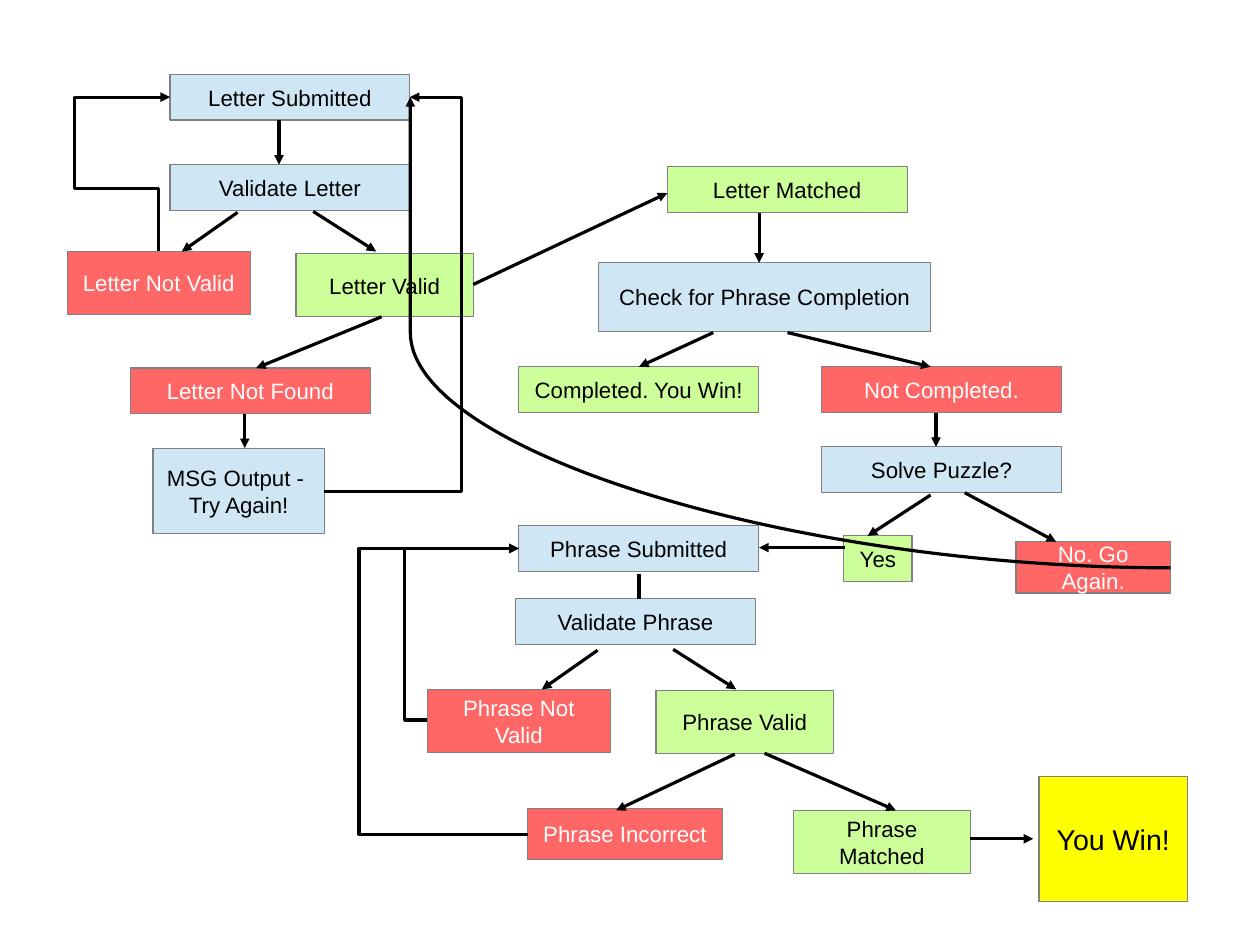
import pptx
import pptx.util
import pptx.dml.color
import pptx.enum.shapes
import pptx.enum.text
import pptx.oxml
import pptx.oxml.ns

Cm = pptx.util.Cm
KIND = pptx.enum.shapes.MSO_CONNECTOR
BLUE, GREEN, RED, YELLOW = "CFE7F5", "CCFF99", "FF6666", "FFFF00"
BLACK, WHITE, GREY = "000000", "FFFFFF", "808080"
WIDE, TALL = 5.33, 1.02
FRAME = {
    "word_wrap": True,
    "vertical_anchor": pptx.enum.text.MSO_ANCHOR.MIDDLE,
    "margin_left": Cm(0.25), "margin_right": Cm(0.25),
    "margin_top": Cm(0.13), "margin_bottom": Cm(0.13),
}


def color(code):
    return pptx.dml.color.RGBColor.from_string(code)


def format(item, values):
    for name, value in values.items():
        setattr(item, name, value)


def node(slide, box, text, fill, x, y, w=WIDE, h=TALL, size=14):
    """Add a labelled step at x, y within the region."""
    shape = slide.shapes.add_shape(
        pptx.enum.shapes.MSO_SHAPE.RECTANGLE,
        Cm(box[0] + x), Cm(box[1] + y), Cm(w), Cm(h))
    shape.shadow.inherit = False
    shape.fill.solid()
    shape.fill.fore_color.rgb = color(fill)
    shape.line.color.rgb = color(GREY)
    shape.line.width = 0
    format(shape.text_frame, FRAME)
    para = shape.text_frame.paragraphs[0]
    para.text = text
    para.alignment = pptx.enum.text.PP_ALIGN.CENTER
    for run in para.runs:
        format(run.font, {"name": "Arial", "size": pptx.util.Pt(size)})
        run.font.color.rgb = color(WHITE if fill == RED else BLACK)


def link(slide, box, x1, y1, x2, y2, kind=KIND.STRAIGHT, bends=(), head=True):
    """Add a line; bends are the connector's adjustments as fractions."""
    turn = len(bends) == 2
    if turn:  # a four-part elbow leaves upward: lay it flat, then rotate
        mx, my = (x1 + x2) / 2, (y1 + y2) / 2
        dx, dy = (y1 - y2) / 2, (x2 - x1) / 2
        x1, y1, x2, y2 = mx + dx, my + dy, mx - dx, my - dy
    line = slide.shapes.add_connector(
        kind, Cm(box[0] + x1), Cm(box[1] + y1),
        Cm(box[0] + x2), Cm(box[1] + y2))
    line.line.color.rgb = color(BLACK)
    line.line.width = 0
    props = line._element.spPr
    qn, sub = pptx.oxml.ns.qn, pptx.oxml.xmlchemy.OxmlElement
    if head:
        tip = sub("a:tailEnd")
        tip.set("type", "triangle")
        props.find(qn("a:ln")).append(tip)
    props.append(sub("a:effectLst"))
    geom = props.find(qn("a:prstGeom"))
    if turn:
        geom.set("prst", "bentConnector4")
        props.find(qn("a:xfrm")).set("rot", "5400000")
    for i, bend in enumerate(bends, 1):
        guide = sub("a:gd")
        guide.set("name", f"adj{i}" if turn else "adj1")
        guide.set("fmla", f"val {round(bend * 100000)}")
        geom.find(qn("a:avLst")).append(guide)


def draw(slide, box, nodes, links):
    for item in nodes:
        node(slide, box, *item)
    for item in links:
        link(slide, box, *item)


def letter(slide, box):
    draw(slide, box, [
        ("Letter Submitted", BLUE, 2.28, 0),
        ("Validate Letter", BLUE, 2.28, 2.01),
        ("Letter Not Valid", RED, 0, 3.94, 4.06, 1.4),
        ("Letter Valid", GREEN, 5.08, 3.99, 3.94, 1.4),
        ("Letter Not Found", RED, 1.4, 6.53),
        ("MSG Output - \nTry Again!", BLUE, 1.9, 8.31, 3.81, 1.9),
    ], [
        (4.7, 1.02, 4.7, 2.01),
        (5.46, 3.05, 6.86, 3.94),
        (3.78, 3.07, 2.54, 3.94),
        (6.98, 5.39, 4.19, 6.53),
        (3.94, 7.55, 3.94, 8.31),
        # Back to the start
        (5.71, 9.27, 7.61, 0.51, KIND.ELBOW, (1.6,)),
        (2.03, 3.94, 2.28, 0.51, KIND.ELBOW, (0.41, -7.5)),
    ])


def check(slide, box):
    draw(slide, box, [
        ("Letter Matched", GREEN, 3.3, 0),
        ("Check for Phrase Completion", BLUE, 1.78, 2.13, 7.37, 1.52),
        ("Completed. You Win!", GREEN, 0, 4.44),
        ("Not Completed.", RED, 6.73, 4.44),
        ("Solve Puzzle?", BLUE, 6.73, 6.22),
        ("Yes", GREEN, 7.22, 8.2, 1.52),
        ("No. Go Again.", RED, 11.05, 8.33, 3.43, 1.14),
    ], [
        (5.34, 1.02, 5.34, 2.13),
        (4.32, 3.68, 2.67, 4.44),
        (5.97, 3.68, 9.15, 4.44),
        (9.27, 5.46, 9.27, 6.22),
        (9.91, 7.24, 11.94, 8.33),
        (9.15, 7.29, 7.75, 8.2),
    ])


def phrase(slide, box):
    draw(slide, box, [
        ("Phrase Submitted", BLUE, 3.55, 0),
        ("Validate Phrase", BLUE, 3.48, 1.63),
        ("Phrase Not Valid", RED, 1.52, 3.64, 4.06, 1.4),
        ("Phrase Valid", GREEN, 6.6, 3.66, 3.94, 1.4),
        ("Phrase Incorrect", RED, 3.75, 6.28, 4.32, 1.14),
        ("Phrase Matched", GREEN, 9.65, 6.33, 3.94, 1.4),
        ("You Win!", YELLOW, 15.11, 5.57, 3.3, 2.79, 18),
    ], [
        (6.22, 1.07, 6.22, 1.63, KIND.STRAIGHT, (), False),
        (6.98, 2.75, 8.38, 3.64),
        (5.3, 2.77, 4.06, 3.64),
        (8.35, 5.08, 5.71, 6.33),
        (9.01, 5.06, 11.93, 6.33),
        (13.58, 6.96, 14.98, 6.96),
        # Back to the phrase entry
        (1.52, 4.32, 3.55, 0.51, KIND.ELBOW, (-0.25,)),
        (3.75, 6.86, 3.55, 0.51, KIND.ELBOW, (18.75,)),
    ])


def joins(slide, box):
    """Add the arrows that run from one region to another."""
    draw(slide, box, [], [
        (10.52, 6.32, 14.83, 4.29),
        (18.77, 12.17, 16.87, 12.17),
        (26.01, 12.62, 9.12, 2.16, KIND.CURVE, (1,)),
    ])


def main():
    deck = pptx.Presentation()
    format(deck, {"slide_width": Cm(28), "slide_height": Cm(21)})
    slide = deck.slides.add_slide(deck.slide_layouts[6])
    letter(slide, (1.5, 1.65))
    check(slide, (11.53, 3.71))
    phrase(slide, (7.98, 11.68))
    joins(slide, (0, 0))
    deck.save("out.pptx")


if __name__ == "__main__":
    main()
